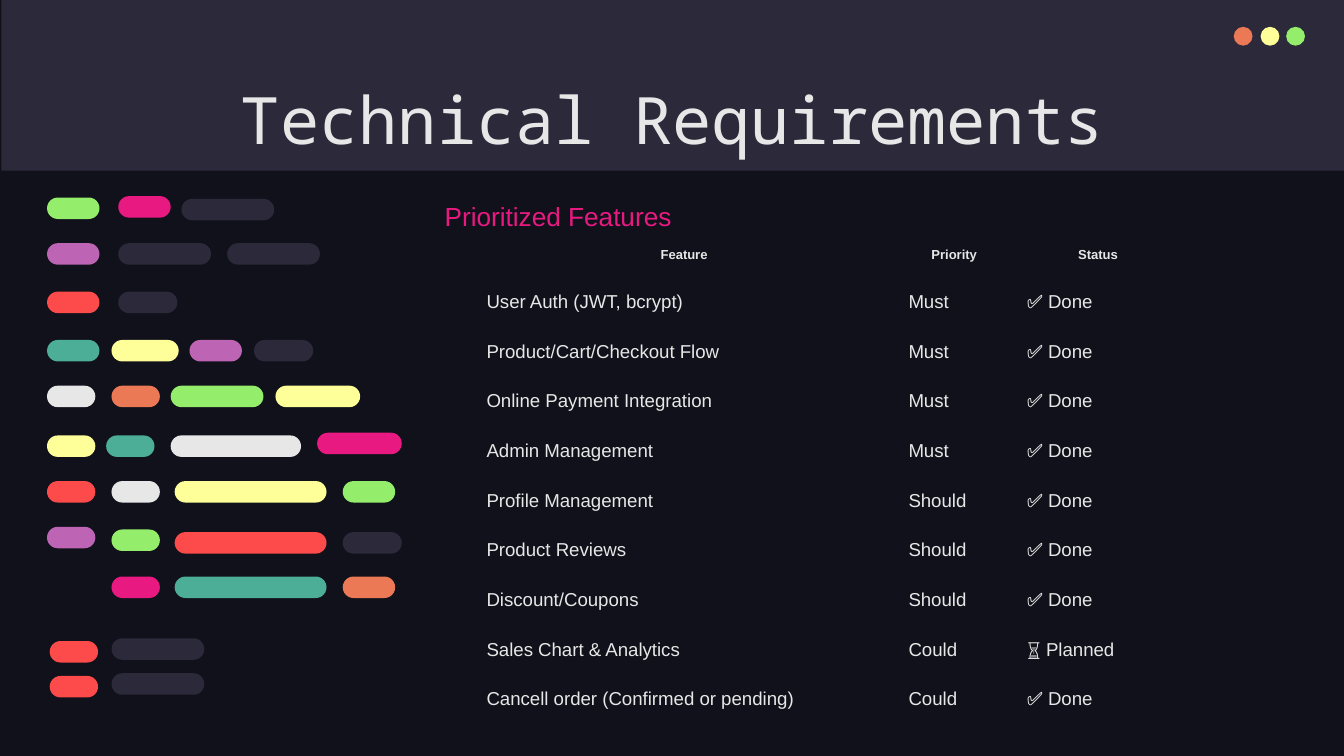
"""Build the Technical Requirements slide with its prioritized feature table."""
from pptx import Presentation
from pptx.dml.color import RGBColor
from pptx.enum.shapes import MSO_SHAPE as SHAPE
from pptx.enum.text import MSO_ANCHOR as ANCHOR, PP_ALIGN as ALIGN
from pptx.util import Inches, Pt

COLORS = {
    "bg": "10111A", "panel": "2C293A", "light": "E7E7E7", "orange": "EC7955",
    "yellow": "FFFF99", "green": "94EE6B", "pink": "E81A81", "purple": "BD64B5",
    "red": "FD4A4A", "teal": "4CAE97",
}


def add_block(kind, x, y, w, h, color):
    sp = s.shapes.add_shape(kind, Inches(x), Inches(y), Inches(w), Inches(h))
    sp.shadow.inherit = False
    sp.fill.solid()
    sp.fill.fore_color.rgb = RGBColor.from_string(COLORS[color])
    sp.line.fill.background()
    return sp


def write(tf, text, size=10, color="light", font="Arial", bold=False,
          align=ALIGN.LEFT, spacing=1.0):
    p = tf.paragraphs[0]
    p.alignment = align
    p.line_spacing = spacing
    r = p.add_run()
    r.text = text
    r.font.name = font
    r.font.size = Pt(size)
    r.font.bold = bold
    r.font.color.rgb = RGBColor.from_string(COLORS[color])


prs = Presentation()
prs.slide_width = Inches(10)
prs.slide_height = prs.slide_width * 9 // 16
s = prs.slides.add_slide(prs.slide_layouts[6])
s.background.fill.solid()
s.background.fill.fore_color.rgb = RGBColor.from_string(COLORS["bg"])

add_block(SHAPE.RECTANGLE, 0.01, 0, 10, 1.27, "panel")
for x, color in [(9.18, "orange"), (9.38, "yellow"), (9.57, "green")]:
    add_block(SHAPE.OVAL, x, 0.2, 0.14, 0.14, color)

pills = [
    (0.35, 1.47, 0.39, "green"), (0.88, 1.46, 0.39, "pink"), (1.35, 1.48, 0.69, "panel"),
    (0.35, 1.81, 0.39, "purple"), (0.88, 1.81, 0.69, "panel"), (1.69, 1.81, 0.69, "panel"),
    (0.35, 2.17, 0.39, "red"), (0.88, 2.17, 0.44, "panel"),
    (0.35, 2.53, 0.39, "teal"), (0.83, 2.53, 0.5, "yellow"),
    (1.41, 2.53, 0.39, "purple"), (1.89, 2.53, 0.44, "panel"),
    (0.35, 2.87, 0.36, "light"), (0.83, 2.87, 0.36, "orange"),
    (1.27, 2.87, 0.69, "green"), (2.05, 2.87, 0.63, "yellow"),
    (0.35, 3.24, 0.36, "yellow"), (0.79, 3.24, 0.36, "teal"),
    (1.27, 3.24, 0.97, "light"), (2.36, 3.22, 0.63, "pink"),
    (0.35, 3.58, 0.36, "red"), (0.83, 3.58, 0.36, "light"),
    (1.3, 3.58, 1.13, "yellow"), (2.55, 3.58, 0.39, "green"),
    (0.35, 3.92, 0.36, "purple"), (0.83, 3.94, 0.36, "green"),
    (1.3, 3.96, 1.13, "red"), (2.55, 3.96, 0.44, "panel"),
    (0.83, 4.29, 0.36, "pink"), (1.3, 4.29, 1.13, "teal"), (2.55, 4.29, 0.39, "orange"),
    (0.37, 4.77, 0.36, "red"), (0.83, 4.75, 0.69, "panel"),
    (0.37, 5.03, 0.36, "red"), (0.83, 5.01, 0.69, "panel"),
]
for x, y, w, color in pills:
    add_block(SHAPE.ROUNDED_RECTANGLE, x, y, w, 0.16, color).adjustments[0] = 0.5

headings = [
    ("Technical Requirements", (0.79, 0.49, 8.43, 0.63),
     {"size": 35, "font": "Noto Sans Mono", "align": ALIGN.CENTER}),
    ("Prioritized Features", (3.21, 1.39, 3.28, 0.44), {"size": 14, "color": "pink"}),
]
for text, box, style in headings:
    tf = s.shapes.add_textbox(*map(Inches, box)).text_frame
    tf.word_wrap = True
    tf.vertical_anchor = ANCHOR.TOP
    tf.margin_left = tf.margin_right = tf.margin_top = tf.margin_bottom = Inches(0.1)
    write(tf, text, **style)

rows = [
    ("Feature", "Priority", "Status"),
    ("User Auth (JWT, bcrypt)", "Must", "✅ Done"),
    ("Product/Cart/Checkout Flow", "Must", "✅ Done"),
    ("Online Payment Integration", "Must", "✅ Done"),
    ("Admin Management", "Must", "✅ Done"),
    ("Profile Management", "Should", "✅ Done"),
    ("Product Reviews", "Should", "✅ Done"),
    ("Discount/Coupons", "Should", "✅ Done"),
    ("Sales Chart & Analytics", "Could", "⏳ Planned"),
    ("Cancell order (Confirmed or pending)", "Could", "✅ Done"),
]
widths = [3.14, 0.88, 1.26]
table = s.shapes.add_table(len(rows), len(widths), Inches(3.52), Inches(1.73),
                           Inches(sum(widths)), Inches(3.67)).table
table.first_row = table.horz_banding = False
table._tbl.tblPr.find("{*}tableStyleId").text = "{2D5ABB26-0587-4C30-8999-92F81FD0307C}"
for col, width in zip(table.columns, widths):
    col.width = Inches(width)
for i, values in enumerate(rows):
    table.rows[i].height = Inches(0.37 if i else 0.34)
    style = {} if i else {"size": 7, "bold": True, "align": ALIGN.CENTER, "spacing": 1.15}
    for j, text in enumerate(values):
        cell = table.cell(i, j)
        cell.fill.background()
        cell.margin_left = cell.margin_right = Inches(0.1)
        cell.margin_top = cell.margin_bottom = Inches(0.1)
        write(cell.text_frame, text, **style)

prs.save("out.pptx")
